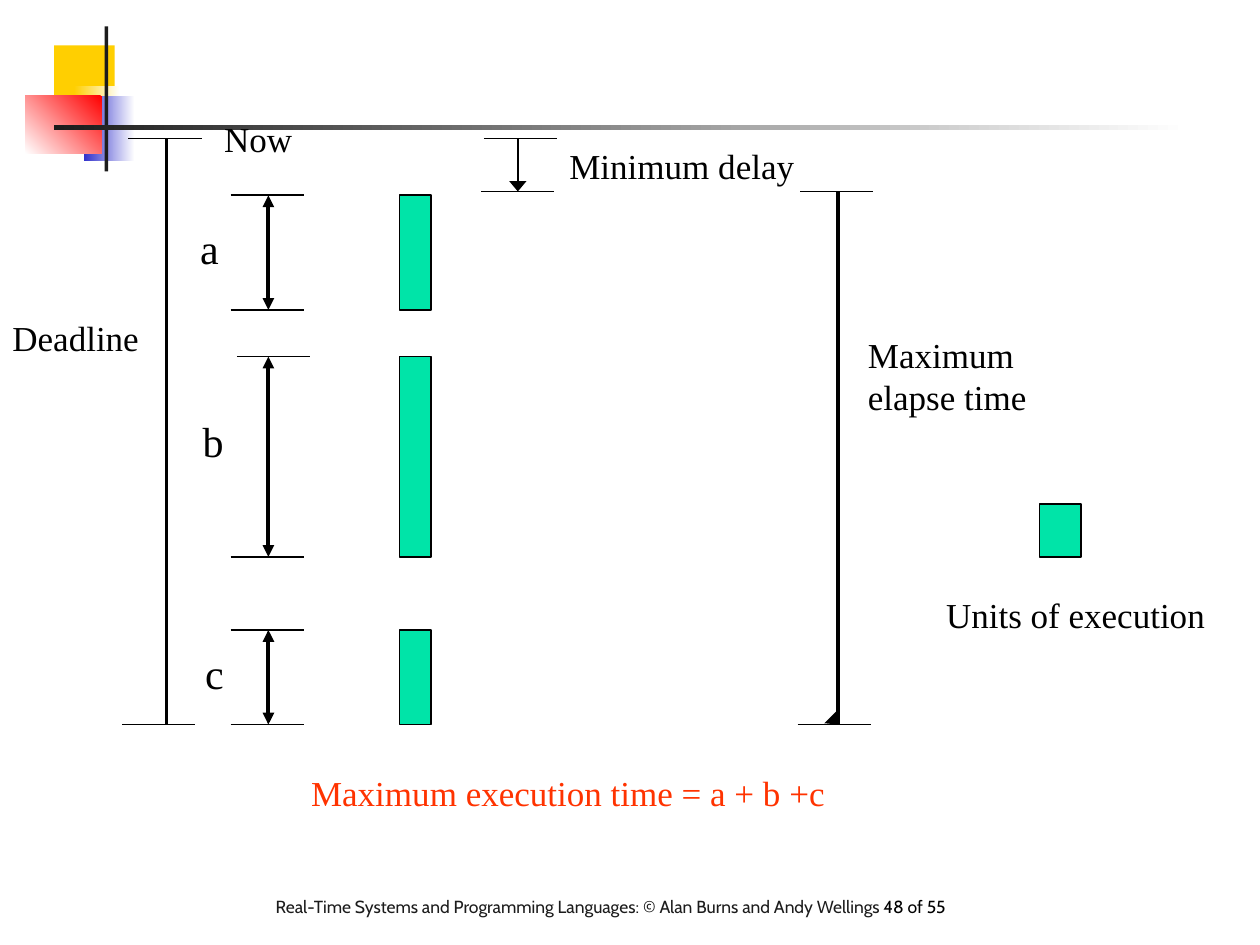
from pptx import Presentation
from pptx.dml.color import RGBColor
from pptx.enum.shapes import MSO_CONNECTOR, MSO_SHAPE
from pptx.enum.text import MSO_AUTO_SIZE
from pptx.oxml.ns import qn
from pptx.util import Inches, Pt
from lxml.etree import SubElement

COLORS = {
    "black": "000000", "ink": "1C1C1C", "white": "FFFFFF", "yellow": "FFCF01",
    "blue": "3333CC", "red": "FF0000", "green": "00E4A8", "orange": "FF3300",
}


def rgb(name):
    return RGBColor.from_string(COLORS[name])


def add_line(page, x1, y1, x2, y2, width=1, ends=(), head_width="med"):
    """Draw a black line with a triangle at each end named in ends."""
    line = page.shapes.add_connector(
        MSO_CONNECTOR.STRAIGHT, Inches(x1), Inches(y1), Inches(x2), Inches(y2))
    line.line.color.rgb = rgb("black")
    line.line.width = Pt(width)
    outline = line.line._get_or_add_ln()
    for end in ends:
        SubElement(outline, qn(f"a:{end}"), type="triangle", w=head_width)
    SubElement(line._element.spPr, qn("a:effectLst"))


deck = Presentation()
deck.slide_width, deck.slide_height = Inches(10), Inches(7.5)
page = deck.slides.add_slide(deck.slide_layouts[6])

# Rectangles: left, top, width, height, fill colours, clockwise angle, outlined
bars = [(1.55, 2.46), (2.83, 4.42), (5, 5.75)]
decoration = [
    (0.43, 0.36, 0.48, 0.52, ["yellow"], 0, False),
    (0.59, 0.68, 0.36, 0.52, ["white", "yellow"], 180, False),
    (0.67, 0.76, 0.4, 0.52, ["white", "blue"], 180, False),
    (0.2, 0.76, 0.61, 0.46, ["red", "white"], 135, False),
    (0.83, 0.21, 0.03, 1.15, ["ink"], 0, False),
    (0.43, 0.99, 9, 0.04, ["white", "ink"], 180, False),
]
execution = [(3.17, top, 0.25, bottom - top, ["green"], 0, True) for top, bottom in bars]
legend = (8.25, 4, 0.33, 0.42, ["green"], 0, True)
for left, top, width, height, fills, angle, outlined in [*decoration, *execution, legend]:
    block = page.shapes.add_shape(
        MSO_SHAPE.RECTANGLE, Inches(left), Inches(top), Inches(width), Inches(height))
    block.shadow.inherit = False
    if len(fills) == 1:
        block.fill.solid()
        block.fill.fore_color.rgb = rgb(fills[0])
    else:
        block.fill.gradient()
        block.fill.gradient_angle = 360 - angle
        for stop, name in zip(block.fill.gradient_stops, fills):
            stop.color.rgb = rgb(name)
    if outlined:
        block.line.color.rgb = rgb("black")
        block.line.width = Pt(1)
    else:
        block.line.fill.background()

# Short horizontal limits: left end and height
ticks = [
    (1.83, 1.55), (1.83, 2.46), (1.88, 2.83), (1.83, 4.42), (1.83, 5), (1.83, 5.75),
    (6.33, 5.75), (6.35, 1.52), (3.84, 1.1), (3.82, 1.52), (1.02, 1.1), (0.97, 5.75),
]
for left, y in ticks:
    add_line(page, left, y, left + 0.58, y)

for top, bottom in bars:
    add_line(page, 2.13, top, 2.13, bottom, 2.25, ["headEnd", "tailEnd"])
add_line(page, 4.11, 1.1, 4.11, 1.52, 1, ["tailEnd"], "lg")
add_line(page, 1.32, 1.1, 1.32, 5.75, 2)
add_line(page, 6.65, 1.52, 6.65, 5.75, 2)
add_line(page, 6.64, 5.74, 6.65, 5.75, 1, ["tailEnd"], "lg")

# Texts: left, top, width, height, size, font, wrap, runs with colours
serif = "Times New Roman"
texts = [
    (1.68, 0.88, 0.74, 0.44, 20, serif, False, [("Now", "black")]),
    (0, 2.46, 1.25, 0.44, 20, serif, False, [("Deadline", "black")]),
    (1.49, 1.72, 0.35, 0.5, 24, serif, False, [("a", "black")]),
    (1.51, 3.25, 0.36, 0.5, 24, serif, False, [("b", "black")]),
    (1.53, 5.09, 0.35, 0.5, 24, serif, False, [("c", "black")]),
    (4.42, 1.1, 2.05, 0.44, 20, serif, False, [("Minimum delay", "black")]),
    (6.79, 2.6, 2, 0.77, 20, serif, True, [("Maximum elapse time", "black")]),
    (7.41, 4.66, 2.32, 0.44, 20, serif, False, [("Units of execution", "black")]),
    (2.37, 6.07, 4.35, 0.44, 20, serif, False,
     [("Maximum execution time = a + b +c", "orange")]),
    (2.09, 7.06, 6.06, 0.46, 10, "Cabin", True,
     [("Real-Time Systems and Programming Languages: © Alan Burns and Andy Wellings ", "ink"),
      ("48 of 55", "black")]),
]
for left, top, width, height, size, font, wrap, runs in texts:
    box = page.shapes.add_textbox(Inches(left), Inches(top), Inches(width), Inches(height))
    frame = box.text_frame
    frame.word_wrap = wrap
    frame.auto_size = MSO_AUTO_SIZE.SHAPE_TO_FIT_TEXT
    para = frame.paragraphs[0]
    for words, color in runs:
        span = para.add_run()
        span.text = words
        span.font.name = font
        span.font.size = Pt(size)
        span.font.color.rgb = rgb(color)

deck.save("out.pptx")
